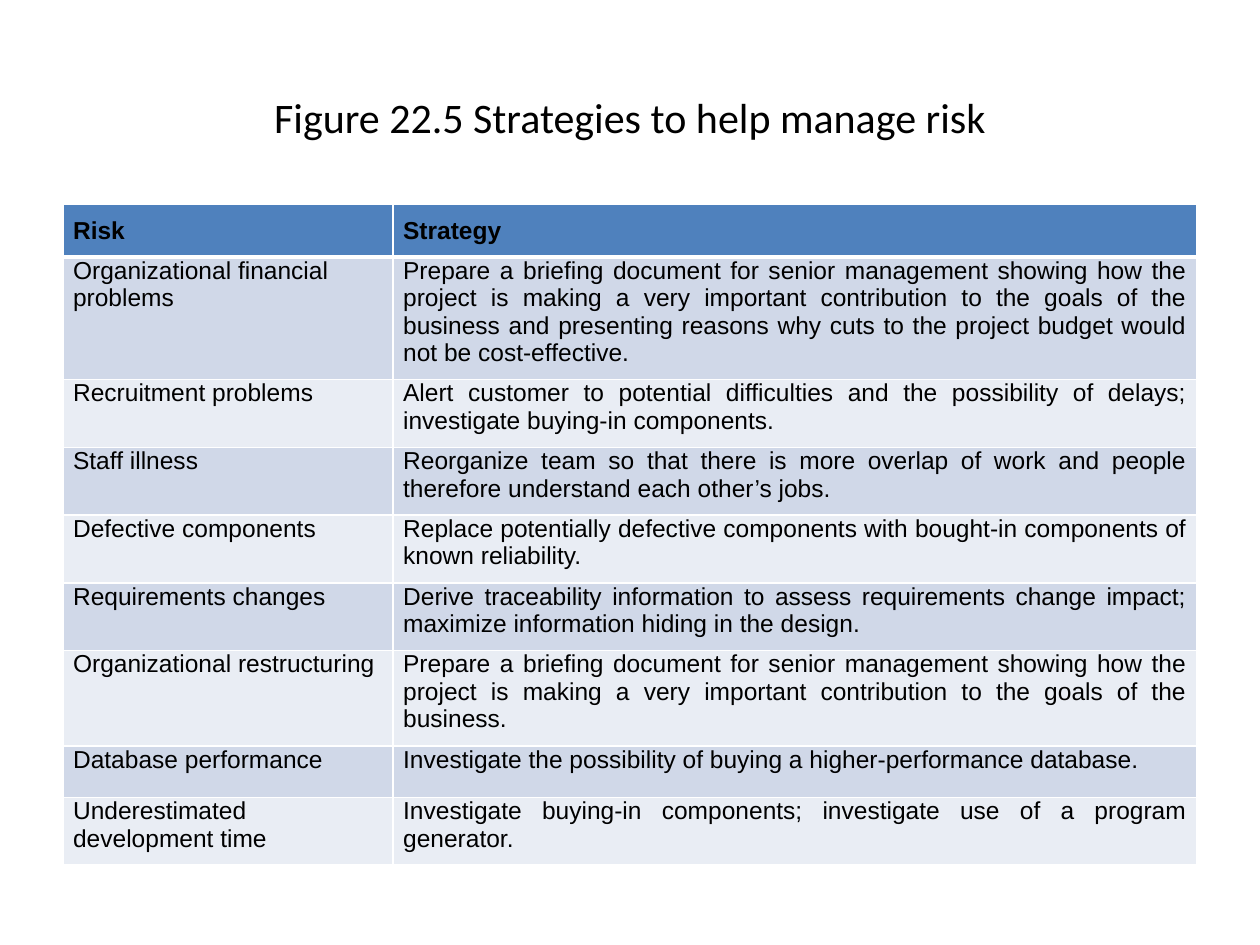
from lxml.etree import SubElement
from pptx import Presentation
from pptx.dml.color import RGBColor
from pptx.enum.text import MSO_ANCHOR, PP_ALIGN
from pptx.oxml.ns import qn
from pptx.util import Inches, Pt

COLORS = {"text": "000000", "head": "4F81BD", "odd": "D0D8E8",
          "even": "E9EDF4", "line": "FFFFFF"}

TITLE = "Figure 22.5 Strategies to help manage risk"
HEAD = ("Risk", "Strategy")
RISKS = [
    ("Organizational financial problems",
     "Prepare a briefing document for senior management showing how the "
     "project is making a very important contribution to the goals of the "
     "business and presenting reasons why cuts to the project budget would "
     "not be cost-effective."),
    ("Recruitment problems",
     "Alert customer to potential difficulties and the possibility of delays; "
     "investigate buying-in components."),
    ("Staff illness",
     "Reorganize team so that there is more overlap of work and people "
     "therefore understand each other’s jobs."),
    ("Defective components",
     "Replace potentially defective components with bought-in components of "
     "known reliability."),
    ("Requirements changes",
     "Derive traceability information to assess requirements change impact; "
     "maximize information hiding in the design."),
    ("Organizational restructuring",
     "Prepare a briefing document for senior management showing how the "
     "project is making a very important contribution to the goals of the "
     "business."),
    ("Database performance",
     "Investigate the possibility of buying a higher-performance database."),
    ("Underestimated development time",
     "Investigate buying-in components; investigate use of a program "
     "generator."),
]


def write(frame, text, size=14, name="Arial", bold=False, align=PP_ALIGN.LEFT):
    frame.text = text
    para = frame.paragraphs[0]
    para.alignment = align
    font = para.runs[0].font
    font.size, font.name, font.bold = Pt(size), name, bold
    font.color.rgb = RGBColor.from_string(COLORS["text"])


def edge(cell, **widths):
    """Draw the cell's borders; widths in points override the usual 1."""
    props = cell._tc.get_or_add_tcPr()
    for side in "LRTB":
        line = SubElement(props, qn(f"a:ln{side}"),
                          w=str(Pt(widths.get(side, 1))))
        fill = SubElement(line, qn("a:solidFill"))
        SubElement(fill, qn("a:srgbClr"), val=COLORS["line"])


def add_title(slide, box):
    title = slide.shapes.title
    title.left, title.top, title.width, title.height = map(Inches, box)
    title.text_frame.vertical_anchor = MSO_ANCHOR.MIDDLE
    write(title.text_frame, TITLE, size=24, name="Calibri",
          align=PP_ALIGN.CENTER)


def add_grid(slide, box):
    rows = [HEAD] + RISKS
    table = slide.shapes.add_table(len(rows), 2, *map(Inches, box)).table
    first = 2.62
    for col, width in zip(table.columns, (first, box[2] - first)):
        col.width = Inches(width)
    for r, row in enumerate(rows):
        table.rows[r].height = Inches(0.41)
        shade = "head" if r == 0 else "odd" if r % 2 else "even"
        # A thick rule parts the heading from the first risk
        thick = {0: {"B": 3}, 1: {"T": 3}}.get(r, {})
        for c, text in enumerate(row):
            cell = table.cell(r, c)
            edge(cell, **thick)
            cell.fill.solid()
            cell.fill.fore_color.rgb = RGBColor.from_string(COLORS[shade])
            cell.margin_left = cell.margin_right = Inches(0.08)
            cell.margin_top = Inches(0 if r else 0.1)
            cell.margin_bottom = Inches(0.1)
            write(cell.text_frame, text, bold=r == 0,
                  align=PP_ALIGN.LEFT if r and c == 0 else PP_ALIGN.JUSTIFY)


def main():
    deck = Presentation()
    deck.slide_width, deck.slide_height = Inches(10), Inches(7.5)
    slide = deck.slides.add_slide(deck.slide_layouts[5])
    # Title above, risks and strategies below
    add_title(slide, (0.5, 0.3, 9, 1.25))
    add_grid(slide, (0.5, 1.62, 9, 3.69))
    deck.save("out.pptx")


if __name__ == "__main__":
    main()
